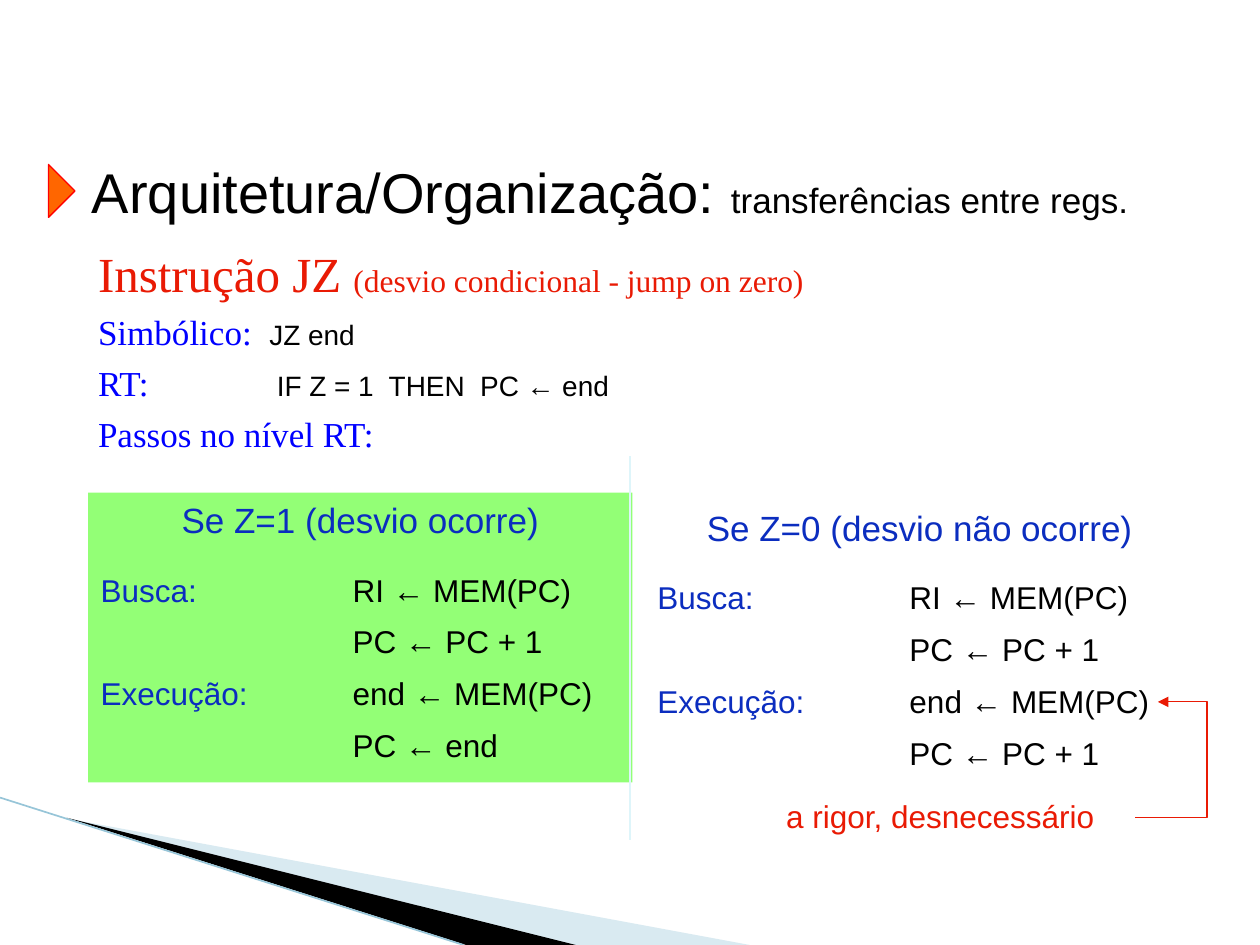
from lxml.etree import SubElement
from pptx import Presentation
from pptx.dml.color import RGBColor
from pptx.enum.shapes import MSO_CONNECTOR as Conn, MSO_SHAPE as Shape
from pptx.enum.text import MSO_ANCHOR as Anchor, PP_ALIGN as Align
from pptx.oxml.ns import qn
from pptx.util import Inches, Pt

HUES = {
    "black": "000000", "red": "E91A04", "blue": "0000FF", "navy": "0B2DBF",
    "green": "93FF76", "orange": "FF6600", "edge": "FF0000",
    "sky": "A0CBDC", "rim": "97C5D8", "pale": "DEF5FA",
}
SANS, SERIF = "Arial", "Times New Roman"


def hue(name):
    return RGBColor.from_string(HUES[name])


def paint(shape, fill=None, line=None, width=0.75):
    shape.shadow.inherit = False
    if fill:
        shape.fill.solid()
        shape.fill.fore_color.rgb = hue(fill)
    else:
        shape.fill.background()
    if line:
        shape.line.color.rgb = hue(line)
        shape.line.width = Pt(width)
    else:
        shape.line.fill.background()


def write(para, runs, tab=None, **form):
    if tab:
        tabs = SubElement(para._p.get_or_add_pPr(), qn("a:tabLst"))
        SubElement(tabs, qn("a:tab"), pos=str(Inches(tab)), algn="l")
    for key, value in form.items():
        setattr(para, key, value)
    for text, size, face, color in runs:
        run = para.add_run()
        run.text = text
        look = {"size": Pt(size), "name": face, "bold": False}
        for key, value in look.items():
            setattr(run.font, key, value)
        run.font.color.rgb = hue(color)


def fill_text(frame, rows, wrap=True):
    frame.word_wrap = wrap
    frame.vertical_anchor = Anchor.TOP
    for i, (runs, form) in enumerate(rows):
        para = frame.paragraphs[0] if i == 0 else frame.add_paragraph()
        write(para, runs, **form)


def add_box(slide, x, y, w, h):
    return slide.shapes.add_textbox(Inches(x), Inches(y), Inches(w), Inches(h))


def add_path(slide, dots, close=True):
    spots = [(Inches(x), Inches(y)) for x, y in dots]
    pen = slide.shapes.build_freeform(*spots[0])
    pen.add_line_segments(spots[1:], close=close)
    return pen.convert_to_shape()


def add_line(slide, x1, y1, x2, y2, color, width):
    line = slide.shapes.add_connector(
        Conn.STRAIGHT, Inches(x1), Inches(y1), Inches(x2), Inches(y2))
    line.line.color.rgb = hue(color)
    line.line.width = Pt(width)
    SubElement(line._element.spPr, qn("a:effectLst"))


def add_swoosh(slide, x, y):
    light = add_path(slide, [(x + 0.55, y + 0.17), (x + 5.95, y + 1.17),
                             (x + 4.56, y + 1.17)])
    paint(light, "sky")
    tone = light._element.spPr.find(qn("a:solidFill"))[0]
    SubElement(tone, qn("a:alpha"), val="40000")
    dark = add_path(slide, [(x + 0.53, y + 0.16), (x + 4.57, y + 1.17),
                            (x + 3.7, y + 1.17)])
    paint(dark, "black")
    add_line(slide, x, y, x + 3.68, y + 1.17, "rim", 0.95)


def add_title(slide, x, y, w, h):
    mark = slide.shapes.add_shape(Shape.ISOSCELES_TRIANGLE, Inches(x - 0.35),
                                  Inches(y + 0.21), Inches(0.42), Inches(0.21))
    mark.rotation = 90
    paint(mark, "orange", "edge")
    title = slide.shapes.title
    place = {"left": x, "top": y, "width": w, "height": h}
    for key, value in place.items():
        setattr(title, key, Inches(value))
    runs = [("Arquitetura/Organização: ", 32, SANS, "black"),
            ("transferências entre regs.", 20, SANS, "black")]
    fill_text(title.text_frame, [(runs, {"alignment": Align.LEFT})])


def add_intro(slide, x, y, w, h):
    gap = {"space_before": Pt(5)}
    rows = [
        ([("Instrução JZ ", 28, SERIF, "red"),
          ("(desvio condicional - jump on zero)", 18, SERIF, "red")], {}),
        ([("Simbólico:\t", 20, SERIF, "blue"),
          ("JZ end", 16, SANS, "black")], {"tab": 1.36, **gap}),
        ([("RT:\t", 20, SERIF, "blue"),
          ("IF Z = 1  THEN  PC ← end", 16, SANS, "black")],
         {"tab": 1.42, **gap}),
        ([("Passos no nível RT:", 20, SERIF, "blue")], gap),
    ]
    fill_text(add_box(slide, x, y, w, h).text_frame, rows)


def add_case(slide, x, y, w, h, head, last, fill=None):
    box = add_box(slide, x, y, w, h)
    if fill:
        box.fill.solid()
        box.fill.fore_color.rgb = hue(fill)
    rows = [([(head, 20, SANS, "navy")],
             {"alignment": Align.CENTER, "space_after": Pt(9)})]
    steps = [("Busca:", "RI ← MEM(PC)"), ("", "PC ← PC + 1"),
             ("Execução:", "end ← MEM(PC)"), ("", last)]
    for label, step in steps:
        runs = [(label + "\t", 18, SANS, "navy"), (step, 18, SANS, "black")]
        rows.append((runs, {"tab": 2, "space_before": Pt(8)}))
    fill_text(box.text_frame, rows)


def add_note(slide, x, y, w, h):
    box = add_box(slide, x, y, w, h)
    runs = [("a rigor, desnecessário", 18, SANS, "red")]
    fill_text(box.text_frame, [(runs, {})], wrap=False)
    low, high, side = y + 0.21, y - 0.71, x + w + 0.59
    hook = add_path(slide, [(x + w + 0.02, low), (side, low), (side, high),
                            (side - 0.39, high)], close=False)
    paint(hook, line="red")
    SubElement(hook.line._get_or_add_ln(), qn("a:tailEnd"), type="triangle")


def main():
    deck = Presentation()
    deck.slide_width, deck.slide_height = Inches(10), Inches(7.5)
    slide = deck.slides.add_slide(deck.slide_layouts[5])
    add_swoosh(slide, 0, 6.33)
    add_title(slide, 0.63, 1.2, 9.1, 0.63)
    add_intro(slide, 0.68, 1.88, 8.6, 1.69)
    add_case(slide, 0.7, 3.91, 4.32, 2.3,
             "Se Z=1 (desvio ocorre)", "PC ← end", "green")
    add_case(slide, 5.12, 3.97, 4.36, 2.19,
             "Se Z=0 (desvio não ocorre)", "PC ← PC + 1")
    add_note(slide, 6.14, 6.28, 2.85, 0.4)
    add_line(slide, 5, 3.62, 5, 6.67, "pale", 0.75)
    deck.save("out.pptx")


if __name__ == "__main__":
    main()
